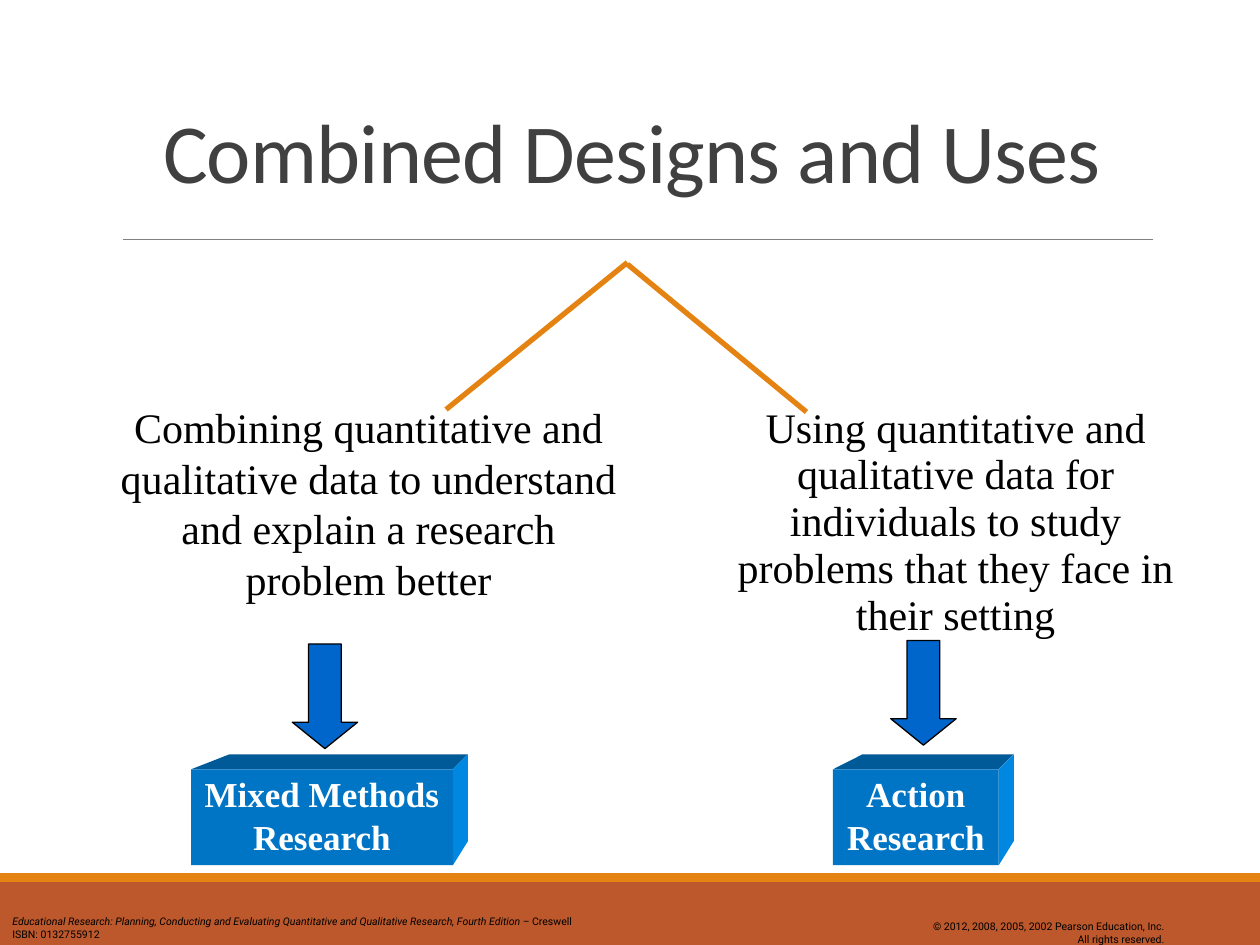
from lxml import etree
from pptx import Presentation
from pptx.dml.color import RGBColor
from pptx.enum import shapes as kinds, text as styles
from pptx.oxml.ns import qn
from pptx.util import Pt

RUST = RGBColor(0xBD, 0x58, 0x2C)
ORANGE = RGBColor(0xE4, 0x83, 0x12)
GREY = RGBColor(0x80, 0x80, 0x80)
CHARCOAL = RGBColor(0x40, 0x40, 0x40)
BLACK = RGBColor(0, 0, 0)
WHITE = RGBColor(255, 255, 255)
ARROW_BLUE = RGBColor(0x00, 0x66, 0xCC)
FRONT_BLUE = RGBColor(0x00, 0x75, 0xC5)
TOP_BLUE = RGBColor(0x00, 0x5A, 0x98)
SIDE_BLUE = RGBColor(0x00, 0x87, 0xE2)
SERIF = "Times New Roman"

TITLE = "Combined Designs and Uses"
BOOK = ("Educational Research: Planning, Conducting and Evaluating Quantitative "
        "and Qualitative Research, Fourth Edition – ")
CITATION = [[(BOOK, True), ("Creswell", False)], [("ISBN: 0132755912", False)]]
COPYRIGHT = [[("© 2012, 2008, 2005, 2002 Pearson Education, Inc.", False)],
             [("All rights reserved.", False)]]
BANDS = [(504, 36, RUST), (499, 5, ORANGE)]
BRANCHES = [
    dict(use=["Combining quantitative and",
              "qualitative data to understand and explain a research problem better"],
         use_box=(54, 228.2, 313.2, 121.7),
         fork=(358.5, 150, 254.9, 234), arrow=(167, 368),
         design=["Mixed Methods", "Research"], block=(109.2, 149.6, 22)),
    dict(use=["Using quantitative and qualitative data for individuals to study "
              "problems that they face in their setting"],
         use_box=(414, 228.2, 264.2, 142.6),
         fork=(358.5, 151, 460.8, 235.4), arrow=(509, 366),
         design=["Action", "Research"], block=(476, 94.7, 17)),
]
SPACING = [0.93, 1.0]
ARROW_SIZE = (37.4, 59.8)
BLOCK_TOP, BLOCK_HEIGHT, DEPTH = 439.6, 54.8, 8.6

prs = Presentation()
prs.slide_width, prs.slide_height = Pt(720), Pt(540)
slide = prs.slides.add_slide(prs.slide_layouts[6])


def paint(shape, fill, line=None):
    shape.shadow.inherit = False
    shape.fill.solid()
    shape.fill.fore_color.rgb = fill
    if line is None:
        shape.line.fill.background()
    else:
        shape.line.color.rgb = line
        shape.line.width = Pt(0.75)
    return shape


def preset(kind, *box):
    return slide.shapes.add_shape(kind, *map(Pt, box))


def polygon(points, fill):
    points = [(Pt(x), Pt(y)) for x, y in points]
    builder = slide.shapes.build_freeform(*points[0])
    builder.add_line_segments(points[1:])
    paint(builder.convert_to_shape(), fill)


def line(x1, y1, x2, y2, color, width):
    connector = slide.shapes.add_connector(
        kinds.MSO_CONNECTOR.STRAIGHT, *map(Pt, (x1, y1, x2, y2)))
    connector.line.color.rgb = color
    connector.line.width = Pt(width)
    etree.SubElement(connector._element.spPr, qn("a:effectLst"))


def write(shape, paragraphs, font, size, color, align, bold=False, spacing=(),
          anchor=styles.MSO_ANCHOR.TOP, wrap=True):
    frame = shape.text_frame
    frame.word_wrap = wrap
    frame.vertical_anchor = anchor
    for i, runs in enumerate(paragraphs):
        paragraph = frame.paragraphs[0] if i == 0 else frame.add_paragraph()
        paragraph.alignment = align
        if spacing:
            paragraph.line_spacing = spacing[i]
        paragraph.font.name, paragraph.font.size = font, Pt(size)
        paragraph.font.bold = bold
        paragraph.font.color.rgb = color
        for words, italic in runs:
            run = paragraph.add_run()
            run.text = words
            if italic:
                run.font.italic = True
    return frame


def text_box(box, *args, **options):
    return write(slide.shapes.add_textbox(*map(Pt, box)), *args, **options)


def plain(lines):
    return [[(words, False)] for words in lines]


CENTER, LEFT, RIGHT = styles.PP_ALIGN.CENTER, styles.PP_ALIGN.LEFT, styles.PP_ALIGN.RIGHT
RECT = kinds.MSO_SHAPE.RECTANGLE

for top, height, color in BANDS:
    paint(preset(RECT, 0, top, 720, height), color)
line(70.5, 136.8, 658.8, 136.8, GREY, 0.5)
text_box((0, 519.5, 360, 21.6), CITATION, "Roboto", 6, BLACK, LEFT)
text_box((498.2, 522.4, 174.2, 21.6), COPYRIGHT, "Roboto", 6, BLACK, RIGHT)

title = text_box((64, 3.8, 594, 114.5), plain([TITLE]), "Calibri", 48, CHARCOAL,
                 CENTER, spacing=[0.85], anchor=styles.MSO_ANCHOR.BOTTOM)
title.paragraphs[0].runs[0].font._element.set("spc", "-50")

for branch in BRANCHES:
    left, width, slant = branch["block"]
    right, far = left + width, left + width + DEPTH
    back, bottom = BLOCK_TOP - DEPTH, BLOCK_TOP + BLOCK_HEIGHT
    polygon([(left, BLOCK_TOP), (left + slant, back), (far, back),
             (right, BLOCK_TOP)], TOP_BLUE)
    polygon([(right, BLOCK_TOP), (far, back), (far, bottom - 1.6 * DEPTH),
             (right, bottom)], SIDE_BLUE)
    front = paint(preset(RECT, left, BLOCK_TOP, width, BLOCK_HEIGHT), FRONT_BLUE)
    write(front, plain(branch["design"]), SERIF, 20, WHITE, CENTER, bold=True,
          spacing=SPACING, anchor=styles.MSO_ANCHOR.MIDDLE, wrap=False)

    line(*branch["fork"], ORANGE, 3)
    text_box(branch["use_box"], plain(branch["use"]), SERIF, 24, BLACK, CENTER,
             spacing=SPACING)
    arrow = paint(preset(kinds.MSO_SHAPE.DOWN_ARROW, *branch["arrow"], *ARROW_SIZE),
                  ARROW_BLUE, BLACK)
    arrow.adjustments[1] = 0.404

prs.save("out.pptx")
